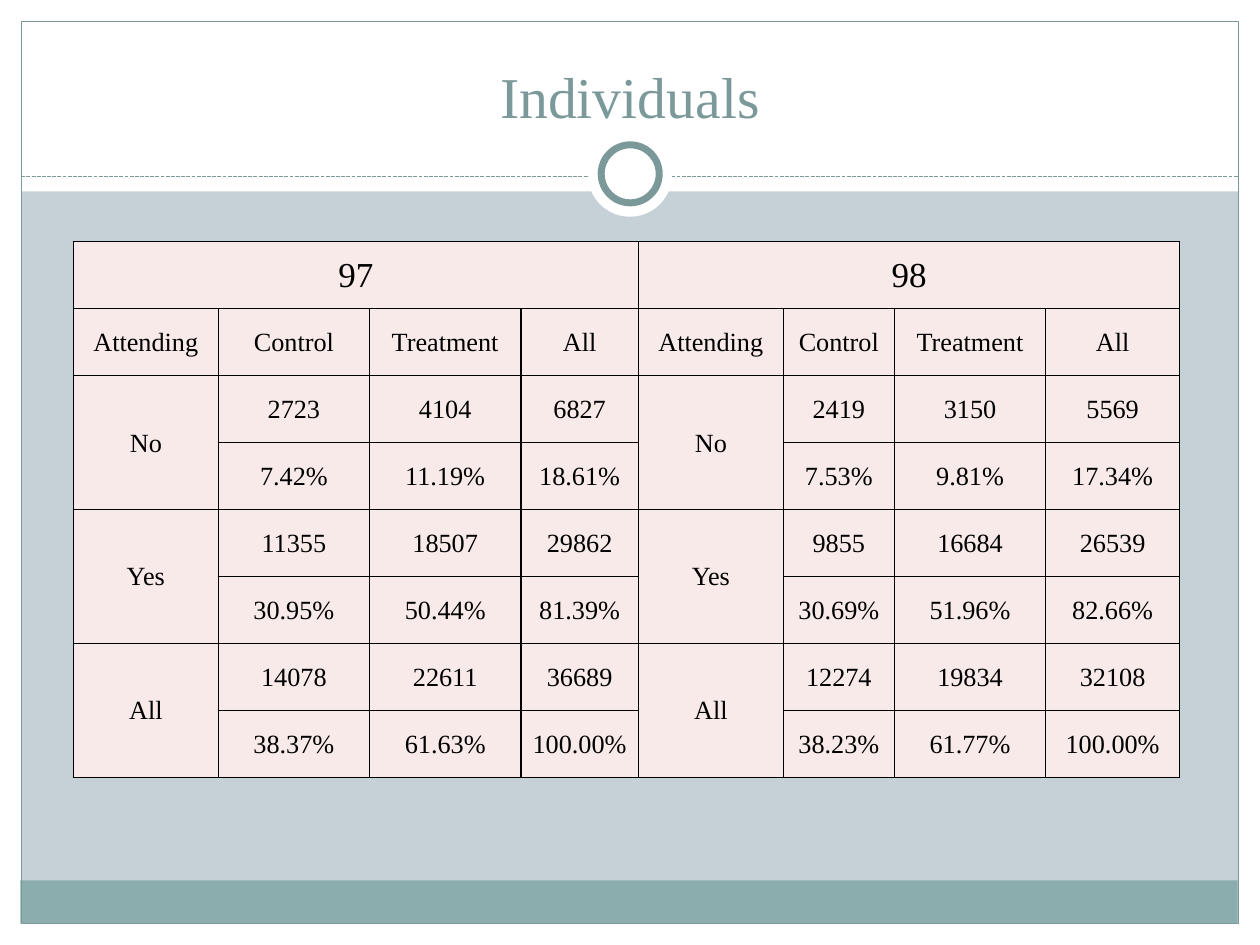
from dataclasses import dataclass
from typing import Optional

from lxml import etree
from pptx import Presentation
from pptx import util as u
from pptx.dml.color import RGBColor
from pptx.enum import dml, shapes, text
from pptx.oxml import ns

FONT = "Times New Roman"
WHITE, BLACK, TEAL = "FFFFFF", "000000", "7C999A"
BACKGROUND, FOOTER, CELL_FILL = "C5D1D7", "8CADAE", "F7EAE9"
WIDTH, HEIGHT, MARGIN = 25.4, 19.05, 0.43
RECTANGLE = shapes.MSO_SHAPE.RECTANGLE
OVAL = shapes.MSO_SHAPE.OVAL


@dataclass
class Panel:
    left: float
    top: float
    width: float
    height: float
    fill: Optional[str] = None
    line: Optional[str] = None
    line_width: float = 0.75
    kind: shapes.MSO_SHAPE = RECTANGLE


@dataclass
class YearBlock:
    year: str
    widths: list[float]
    counts: list[list[str]]
    shares: list[list[str]]


HEADINGS = ["Attending", "Control", "Treatment", "All"]
ANSWERS = ["No", "Yes", "All"]
ROW_HEIGHT = 1.35

BLOCKS = [
    YearBlock(
        "97",
        [2.92, 3.05, 3.05, 2.37],
        [["2723", "4104", "6827"], ["11355", "18507", "29862"], ["14078", "22611", "36689"]],
        [["7.42%", "11.19%", "18.61%"], ["30.95%", "50.44%", "81.39%"], ["38.37%", "61.63%", "100.00%"]],
    ),
    YearBlock(
        "98",
        [2.92, 2.24, 3.05, 2.7],
        [["2419", "3150", "5569"], ["9855", "16684", "26539"], ["12274", "19834", "32108"]],
        [["7.53%", "9.81%", "17.34%"], ["30.69%", "51.96%", "82.66%"], ["38.23%", "61.77%", "100.00%"]],
    ),
]

FRAME_PANELS = [
    Panel(0, HEIGHT - MARGIN, WIDTH, MARGIN, WHITE),
    Panel(0, 0, WIDTH, 3.86, WHITE),
    Panel(0, 0, MARGIN, HEIGHT, WHITE),
    Panel(WIDTH - MARGIN, 0, MARGIN, HEIGHT, WHITE),
    Panel(0.41, 17.75, 24.54, 0.87, FOOTER),
    Panel(MARGIN, MARGIN, WIDTH - 2 * MARGIN, HEIGHT - 2 * MARGIN, line=TEAL),
]

RING_PANELS = [
    Panel(11.85, 2.67, 1.7, 1.7, WHITE, kind=OVAL),
    Panel(12.12, 2.92, 1.17, 1.17, WHITE, TEAL, 4, OVAL),
]


def color(value: str) -> RGBColor:
    return RGBColor.from_string(value)


def add_panel(slide, panel: Panel) -> None:
    box = [u.Cm(n) for n in (panel.left, panel.top, panel.width, panel.height)]
    shape = slide.shapes.add_shape(panel.kind, *box)
    shape.shadow.inherit = False
    if panel.fill:
        shape.fill.solid()
        shape.fill.fore_color.rgb = color(panel.fill)
    else:
        shape.fill.background()
    if panel.line:
        shape.line.color.rgb = color(panel.line)
        shape.line.width = u.Pt(panel.line_width)
    else:
        shape.line.fill.background()


def add_divider(slide, top: float) -> None:
    connector = slide.shapes.add_connector(
        shapes.MSO_CONNECTOR.STRAIGHT, u.Cm(MARGIN), u.Cm(top), u.Cm(WIDTH - MARGIN), u.Cm(top)
    )
    connector.line.color.rgb = color(TEAL)
    connector.line.width = u.Pt(0.75)
    connector.line.dash_style = dml.MSO_LINE.SQUARE_DOT
    etree.SubElement(connector._element.spPr, ns.qn("a:effectLst"))


def format_paragraph(paragraph, size: float, font_color: str) -> None:
    paragraph.alignment = text.PP_ALIGN.CENTER
    paragraph.font.name = FONT
    paragraph.font.size = u.Pt(size)
    paragraph.font.color.rgb = color(font_color)


def place_title(slide, wording: str) -> None:
    title = slide.shapes.title
    title.left, title.top = u.Cm(0.85), u.Cm(0.64)
    title.width, title.height = u.Cm(23.7), u.Cm(2.1)
    title.text_frame.text = wording
    title.text_frame.vertical_anchor = text.MSO_ANCHOR.BOTTOM
    format_paragraph(title.text_frame.paragraphs[0], 33, TEAL)
    slide.shapes._spTree.append(title._element)


def format_cell(cell) -> None:
    cell.vertical_anchor = text.MSO_ANCHOR.MIDDLE
    cell.margin_left = cell.margin_right = cell.margin_top = u.Cm(0.03)
    cell.margin_bottom = 0
    properties = cell._tc.get_or_add_tcPr()
    for side in ("a:lnL", "a:lnR", "a:lnT", "a:lnB"):
        border = etree.SubElement(properties, ns.qn(side), w=str(u.Pt(1)))
        fill = etree.SubElement(border, ns.qn("a:solidFill"))
        etree.SubElement(fill, ns.qn("a:srgbClr"), val=BLACK)
    cell.fill.solid()
    cell.fill.fore_color.rgb = color(CELL_FILL)


def write_cell(cell, wording: str, size: float = 15) -> None:
    cell.text = wording
    format_paragraph(cell.text_frame.paragraphs[0], size, BLACK)


def fill_block(table, block: YearBlock, first: int) -> None:
    last = first + len(HEADINGS) - 1
    table.cell(0, first).merge(table.cell(0, last))
    write_cell(table.cell(0, first), block.year, 20)
    for offset, heading in enumerate(HEADINGS):
        table.columns[first + offset].width = u.Cm(block.widths[offset])
        write_cell(table.cell(1, first + offset), heading)
    for index, answer in enumerate(ANSWERS):
        row = 2 + 2 * index
        table.cell(row, first).merge(table.cell(row + 1, first))
        write_cell(table.cell(row, first), answer)
        pairs = zip(block.counts[index], block.shares[index])
        for column, (count, share) in enumerate(pairs, first + 1):
            write_cell(table.cell(row, column), count)
            write_cell(table.cell(row + 1, column), share)


def add_attendance_table(slide) -> None:
    row_count = 2 + 2 * len(ANSWERS)
    column_count = len(HEADINGS) * len(BLOCKS)
    width = sum(sum(block.widths) for block in BLOCKS)
    table = slide.shapes.add_table(
        row_count, column_count, u.Cm(1.48), u.Cm(4.87), u.Cm(width), u.Cm(row_count * ROW_HEIGHT)
    ).table
    table.first_row = table.horz_banding = False
    for row in table.rows:
        row.height = u.Cm(ROW_HEIGHT)
    for cell in table.iter_cells():
        format_cell(cell)
    for index, block in enumerate(BLOCKS):
        fill_block(table, block, index * len(HEADINGS))


def main() -> None:
    presentation = Presentation()
    presentation.slide_width, presentation.slide_height = u.Cm(WIDTH), u.Cm(HEIGHT)
    slide = presentation.slides.add_slide(presentation.slide_layouts.get_by_name("Title Only"))
    slide.background.fill.solid()
    slide.background.fill.fore_color.rgb = color(BACKGROUND)
    for panel in FRAME_PANELS:
        add_panel(slide, panel)
    add_divider(slide, 3.56)
    for panel in RING_PANELS:
        add_panel(slide, panel)
    place_title(slide, "Individuals")
    add_attendance_table(slide)
    presentation.save("out.pptx")


if __name__ == "__main__":
    main()
